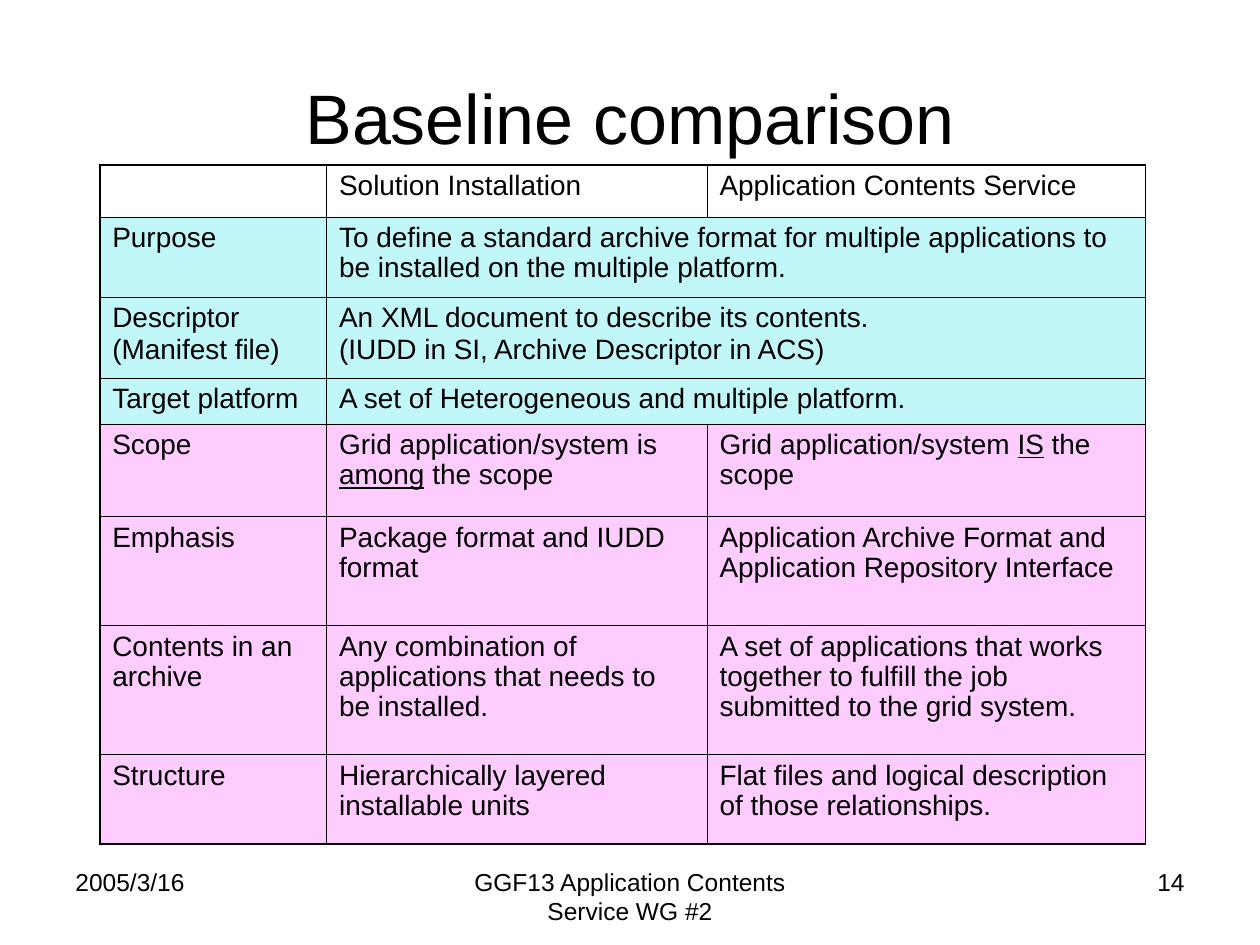
from lxml.etree import SubElement
from pptx import Presentation
from pptx.dml.color import RGBColor
from pptx.enum.text import MSO_ANCHOR, PP_ALIGN
from pptx.oxml.ns import qn
from pptx.util import Pt

COLORS = {"ink": "000000", "shared": "C2F7FA", "different": "FFCCFF"}
FONT = "Arial"
OUTER, INNER = 1.08, 0.45
COL_WIDTHS = [129.6, 217.4, 250.6]
ROWS = [
    (29.7, None, ["", "Solution Installation", "Application Contents Service"]),
    (45.7, "shared", ["Purpose", "To define a standard archive format for multiple "
                      "applications to be installed on the multiple platform."]),
    (46.3, "shared", ["Descriptor\n(Manifest file)",
                      "An XML document to describe its contents.\n"
                      "(IUDD in SI, Archive Descriptor in ACS)"]),
    (26.3, "shared", ["Target platform", "A set of Heterogeneous and multiple platform."]),
    (53.1, "different", ["Scope", "Grid application/system is _among_ the scope",
                         "Grid application/system _IS_ the scope"]),
    (62.3, "different", ["Emphasis", "Package format and IUDD format",
                         "Application Archive Format and Application Repository Interface"]),
    (73.7, "different", ["Contents in an archive",
                         "Any combination of applications that needs to be installed.",
                         "A set of applications that works together to fulfill the job "
                         "submitted to the grid system."]),
    (50.9, "different", ["Structure", "Hierarchically layered installable units",
                         "Flat files and logical description of those relationships."]),
]


def rgb(name):
    return RGBColor.from_string(COLORS[name])


def style_font(font, size):
    font.name = FONT
    font.size = Pt(size)
    font.color.rgb = rgb("ink")


def place(sp, left, top, width, height):
    sp.left, sp.top, sp.width, sp.height = Pt(left), Pt(top), Pt(width), Pt(height)


def add_title(slide, left, top, width, height):
    sp = slide.shapes.title
    place(sp, left, top, width, height)
    tf = sp.text_frame
    tf.text = "Baseline comparison"
    tf.vertical_anchor = MSO_ANCHOR.MIDDLE
    p = tf.paragraphs[0]
    p.alignment = PP_ALIGN.CENTER
    style_font(p.runs[0].font, 40)


def set_borders(cell, widths):
    tc_pr = cell._tc.get_or_add_tcPr()
    for side, width in zip("LRTB", widths):
        ln = SubElement(tc_pr, qn(f"a:ln{side}"), w=str(int(Pt(width))))
        fill = SubElement(ln, qn("a:solidFill"))
        SubElement(fill, qn("a:srgbClr"), val=COLORS["ink"])


def fill_cell_text(cell, text):
    tf = cell.text_frame
    tf.word_wrap = True
    for i, line in enumerate(text.split("\n")):
        p = tf.add_paragraph() if i else tf.paragraphs[0]
        p.line_spacing = 0.97
        if i:
            p.space_before = Pt(1)
        for j, part in enumerate(line.split("_")):
            if part:
                r = p.add_run()
                r.text = part
                style_font(r.font, 16)
                if j % 2:
                    r.font.underline = True


def add_comparison(slide, left, top):
    height = sum(row[0] for row in ROWS)
    frame = slide.shapes.add_table(len(ROWS), len(COL_WIDTHS), Pt(left), Pt(top),
                                   Pt(sum(COL_WIDTHS)), Pt(height))
    table = frame.table
    table.first_row = table.horz_banding = False
    for column, width in zip(table.columns, COL_WIDTHS):
        column.width = Pt(width)
    last_row, last_col = len(ROWS) - 1, len(COL_WIDTHS) - 1
    for i, (row_height, color, texts) in enumerate(ROWS):
        table.rows[i].height = Pt(row_height)
        for j in range(len(COL_WIDTHS)):
            cell = table.cell(i, j)
            edges = (j == 0, j == last_col, i == 0, i == last_row)
            if j == 1 and len(texts) == 2:
                edges = (False, True, False, False)
            set_borders(cell, [OUTER if edge else INNER for edge in edges])
            if color:
                cell.fill.solid()
                cell.fill.fore_color.rgb = rgb(color)
            else:
                cell.fill.background()
        if len(texts) == 2:
            table.cell(i, 1).merge(table.cell(i, last_col))
        for j, text in enumerate(texts):
            fill_cell_text(table.cell(i, j), text)


def add_footer(slide, left, top, width, height):
    parts = [
        ("GGF13 Application Contents Service WG #2", 210, 228, PP_ALIGN.CENTER),
        ("14", width - 168, 168, PP_ALIGN.RIGHT),
        ("2005/3/16", 0, 168, PP_ALIGN.LEFT),
    ]
    for text, offset, part_width, align in parts:
        sp = slide.shapes.add_textbox(Pt(left + offset), Pt(top), Pt(part_width), Pt(height))
        tf = sp.text_frame
        tf.word_wrap = True
        tf.text = text
        p = tf.paragraphs[0]
        p.alignment = align
        style_font(p.runs[0].font, 14)


def main():
    prs = Presentation()
    prs.slide_width, prs.slide_height = Pt(720), Pt(540)
    slide = prs.slides.add_slide(prs.slide_layouts[5])
    add_title(slide, 36, 21.6, 648, 90)
    add_comparison(slide, 57, 94.3)
    add_footer(slide, 36, 491.8, 648, 37.4)
    prs.save("out.pptx")


if __name__ == "__main__":
    main()
